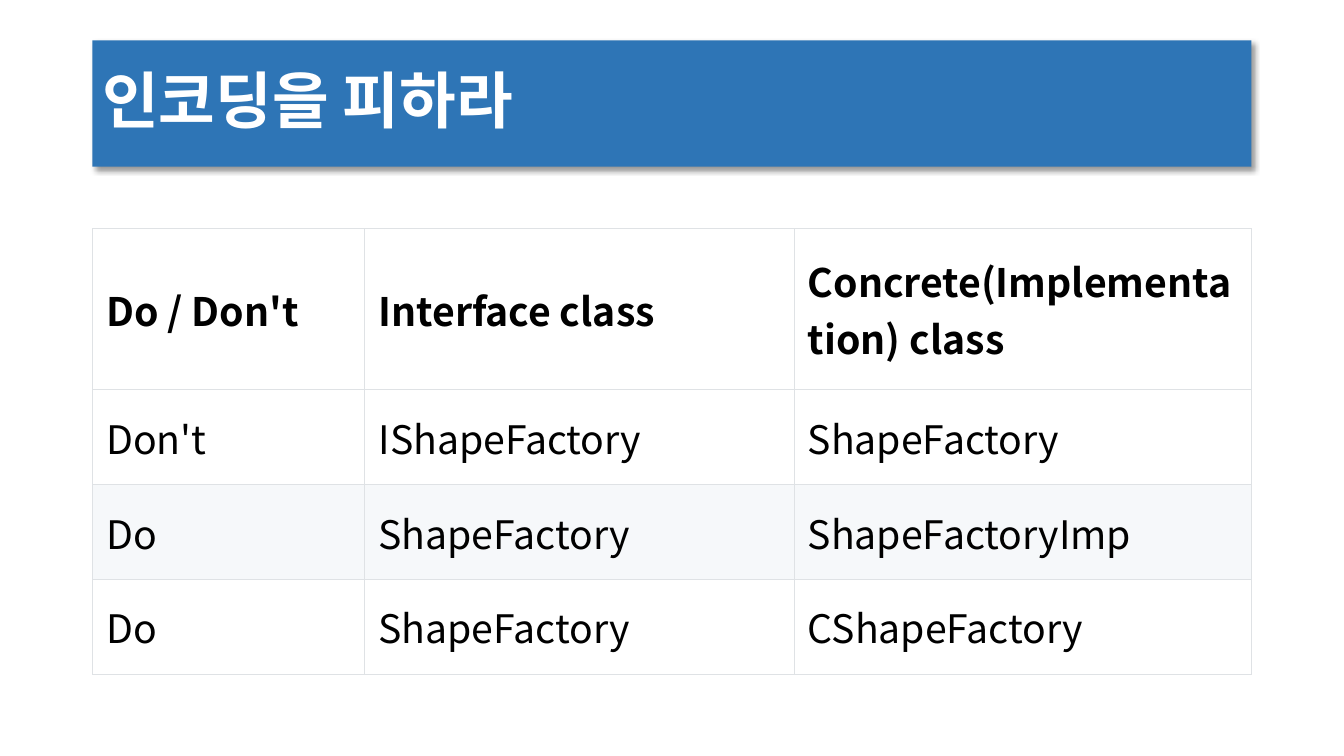
from lxml import etree
from pptx import Presentation
from pptx import util as u
from pptx.dml.color import RGBColor
from pptx.enum import shapes, text
from pptx.oxml import parse_xml
from pptx.oxml.ns import nsdecls, qn

FONT = "Noto Sans CJK KR"
BLUE = RGBColor(0x2E, 0x75, 0xB6)
WHITE = RGBColor(0xFF, 0xFF, 0xFF)
BLACK = RGBColor(0, 0, 0)
STRIPE = RGBColor(0xF6, 0xF8, 0xFA)
BORDER = RGBColor(0xDF, 0xE2, 0xE5)

LEFT, WIDTH = u.Cm(2.33), u.Cm(29.21)
COLUMNS = (6.86, 10.82, 11.53)
ROW_HEIGHTS = (4.06, 2.39, 2.39, 2.39)
ROWS = (
    ("Do / Don't", "Interface class", "Concrete(Implementation) class"),
    ("Don't", "IShapeFactory", "ShapeFactory"),
    ("Do", "ShapeFactory", "ShapeFactoryImp"),
    ("Do", "ShapeFactory", "CShapeFactory"),
)
STRIPED_ROW = 2


def format_text(p, size, color, bold):
    p.alignment = text.PP_ALIGN.LEFT
    for r in p.runs:
        r.font.size = u.Pt(size)
        r.font.bold = bold
        r.font.color.rgb = color
        r.font.name = FONT
        # Korean glyphs use the East Asian typeface
        etree.SubElement(r.font._element, qn("a:ea"), typeface=FONT)


def add_shadow(sp):
    sp.shadow.inherit = False
    effects = sp._element.spPr.find(qn("a:effectLst"))
    effects.append(parse_xml(
        f'<a:outerShdw {nsdecls("a")} blurRad="{u.Pt(4)}" dist="{u.Pt(3)}" '
        'dir="2700000" algn="tl" rotWithShape="0">'
        '<a:srgbClr val="000000"><a:alpha val="40000"/></a:srgbClr>'
        '</a:outerShdw>'))


def add_title(s, title):
    sp = s.shapes.add_shape(shapes.MSO_SHAPE.RECTANGLE,
                            LEFT, u.Cm(1.02), WIDTH, u.Cm(3.18))
    sp.fill.solid()
    sp.fill.fore_color.rgb = BLUE
    sp.line.fill.background()
    add_shadow(sp)
    tf = sp.text_frame
    tf.word_wrap = True
    tf.vertical_anchor = text.MSO_ANCHOR.MIDDLE
    tf.text = title
    tf.paragraphs[0].line_spacing = 0.9
    format_text(tf.paragraphs[0], 44, WHITE, True)


def add_borders(cell):
    tcPr = cell._tc.get_or_add_tcPr()
    for i, side in enumerate(("lnL", "lnR", "lnT", "lnB")):
        tcPr.insert(i, parse_xml(
            f'<a:{side} {nsdecls("a")} w="{u.Pt(0.75)}"><a:solidFill>'
            f'<a:srgbClr val="{BORDER}"/></a:solidFill></a:{side}>'))


def fill_cell(cell, words, fill, bold):
    cell.fill.solid()
    cell.fill.fore_color.rgb = fill
    cell.margin_left = cell.margin_right = u.Cm(0.35)
    cell.margin_top = cell.margin_bottom = u.Cm(0.16)
    cell.vertical_anchor = text.MSO_ANCHOR.MIDDLE
    cell.text_frame.text = words
    format_text(cell.text_frame.paragraphs[0], 28, BLACK, bold)
    add_borders(cell)


def add_naming_table(s):
    table = s.shapes.add_table(len(ROWS), len(COLUMNS), LEFT, u.Cm(5.76),
                               WIDTH, u.Cm(sum(ROW_HEIGHTS))).table
    table.first_row = table.horz_banding = False
    for column, width in zip(table.columns, COLUMNS):
        column.width = u.Cm(width)
    for i, (row, height) in enumerate(zip(table.rows, ROW_HEIGHTS)):
        row.height = u.Cm(height)
        fill = STRIPE if i == STRIPED_ROW else WHITE
        for cell, words in zip(row.cells, ROWS[i]):
            fill_cell(cell, words, fill, bold=i == 0)


def main():
    prs = Presentation()
    prs.slide_width, prs.slide_height = u.Cm(33.87), u.Cm(19.05)
    s = prs.slides.add_slide(prs.slide_layouts[6])

    # Title bar
    add_title(s, "인코딩을 피하라")

    # Naming advice
    add_naming_table(s)

    prs.save("out.pptx")


if __name__ == "__main__":
    main()
